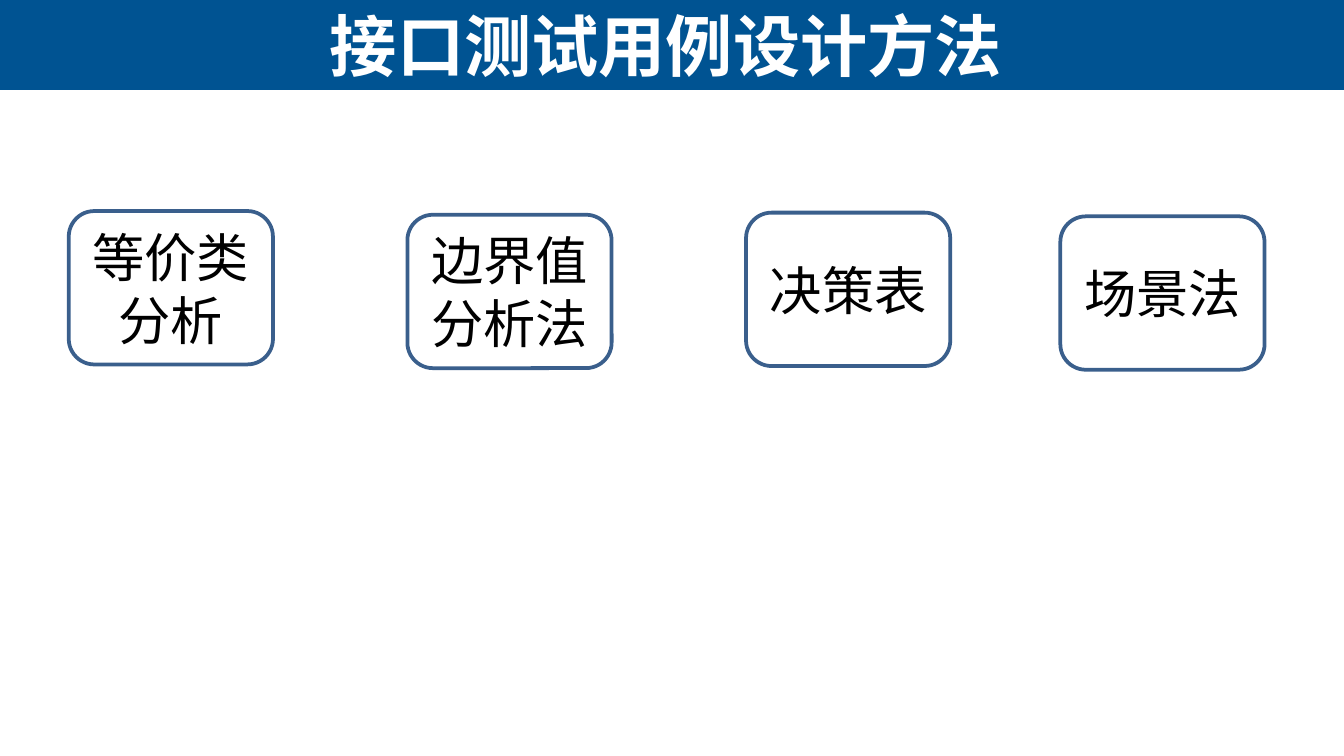
from pptx import Presentation
from pptx.dml.color import RGBColor
from pptx.enum import shapes, text
from pptx.util import Cm, Pt

TITLE = "接口测试用例设计方法"
# Method name, left, top (cm)
METHODS = [
    ("等价类分析", 1.3, 3.99),
    ("边界值分析法", 7.7, 4.06),
    ("决策表", 14.1, 4.02),
    ("场景法", 20.04, 4.09),
]
BOX_W, BOX_H = 3.86, 2.9
SLIDE_W, SLIDE_H, BAR_H = 25.4, 14.29, 1.7

BLUE = RGBColor(0x00, 0x53, 0x92)
OUTLINE = RGBColor(0x3A, 0x5F, 0x8C)
WHITE = RGBColor(0xFF, 0xFF, 0xFF)
BLACK = RGBColor(0x00, 0x00, 0x00)


def write(sp, content, font, size, color, bold=False):
    tf = sp.text_frame
    tf.word_wrap = True
    tf.vertical_anchor = text.MSO_ANCHOR.MIDDLE
    p = tf.paragraphs[0]
    p.text = content
    p.alignment = text.PP_ALIGN.CENTER
    p.font.name, p.font.size, p.font.bold = font, Pt(size), bold
    p.font.color.rgb = color


prs = Presentation()
prs.slide_width, prs.slide_height = Cm(SLIDE_W), Cm(SLIDE_H)
s = prs.slides.add_slide(prs.slide_layouts[6])
s.background.fill.solid()
s.background.fill.fore_color.rgb = WHITE

# Title bar
bar = s.shapes.add_shape(shapes.MSO_SHAPE.RECTANGLE, 0, 0, Cm(SLIDE_W), Cm(BAR_H))
bar.shadow.inherit = False
bar.fill.solid()
bar.fill.fore_color.rgb = BLUE
bar.line.fill.background()
title = s.shapes.add_textbox(Cm(0.05), 0, Cm(25.07), Cm(BAR_H))
write(title, TITLE, "Arial", 36, WHITE, bold=True)

# Method boxes
for name, left, top in METHODS:
    sp = s.shapes.add_shape(shapes.MSO_SHAPE.ROUNDED_RECTANGLE,
                            Cm(left), Cm(top), Cm(BOX_W), Cm(BOX_H))
    sp.shadow.inherit = False
    sp.fill.background()
    sp.line.color.rgb = OUTLINE
    sp.line.width = Pt(2)
    write(sp, name, "Calibri", 28, BLACK)

prs.save("out.pptx")
